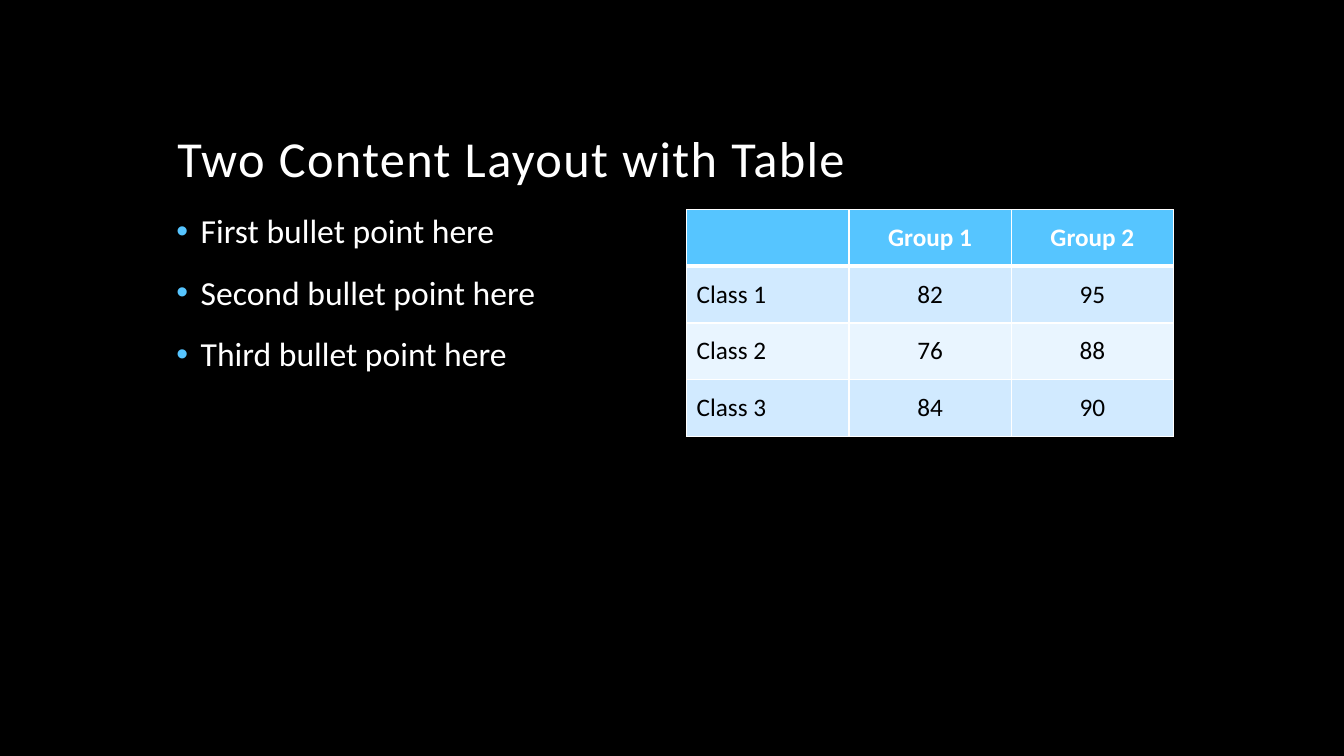
from lxml.etree import SubElement
from pptx import Presentation
from pptx.dml.color import RGBColor
from pptx.enum.text import MSO_ANCHOR, MSO_AUTO_SIZE, PP_ALIGN
from pptx.oxml.ns import qn
from pptx.util import Inches, Pt

FONT = "Calibri"
COLORS = {
    "background": "000000",
    "light": "FFFFFF",
    "dark": "000000",
    "accent": "56C5FF",
    "odd_row": "D1EAFF",
    "even_row": "E9F5FF",
}
BULLETS = ["First bullet point here", "Second bullet point here", "Third bullet point here"]
SCORES = [
    ["", "Group 1", "Group 2"],
    ["Class 1", "82", "95"],
    ["Class 2", "76", "88"],
    ["Class 3", "84", "90"],
]


def color(name):
    return RGBColor.from_string(COLORS[name])


def style_font(font, size, color_name, bold=False):
    font.name = FONT
    font.size = Pt(size)
    font.bold = bold
    font.color.rgb = color(color_name)


def place(shape, left, top, width, height):
    shape.left, shape.top = Inches(left), Inches(top)
    shape.width, shape.height = Inches(width), Inches(height)


def add_solid_fill(parent, color_name):
    fill = SubElement(parent, qn("a:solidFill"))
    SubElement(fill, qn("a:srgbClr"), val=COLORS[color_name])


def fill_title(title, text):
    place(title, 1.66, 0.42, 10, 1.5)
    frame = title.text_frame
    frame.auto_size = MSO_AUTO_SIZE.NONE
    frame.vertical_anchor = MSO_ANCHOR.BOTTOM
    para = frame.paragraphs[0]
    para.alignment = PP_ALIGN.LEFT
    para.line_spacing = 0.9
    span = para.add_run()
    span.text = text
    style_font(span.font, 36, "light")
    span._r.get_or_add_rPr().set("spc", "100")


def add_bullet(para):
    props = para._p.get_or_add_pPr()
    props.set("marL", str(Inches(0.24)))
    props.set("indent", str(Inches(-0.24)))
    bullet_color = SubElement(props, qn("a:buClr"))
    SubElement(bullet_color, qn("a:srgbClr"), val=COLORS["accent"])
    SubElement(props, qn("a:buFont"), typeface="Arial")
    SubElement(props, qn("a:buChar"), char="•")


def fill_bullets(body, lines):
    place(body, 1.65, 2.08, 4.83, 4.5)
    frame = body.text_frame
    frame.auto_size = MSO_AUTO_SIZE.NONE
    frame.text = "\n".join(lines)
    for para in frame.paragraphs:
        para.line_spacing = 0.9
        para.space_before = Pt(18)
        add_bullet(para)
        style_font(para.font, 24, "light")


def set_borders(cell, top, bottom):
    props = cell._tc.get_or_add_tcPr()
    for side, width in (("L", 1), ("R", 1), ("T", top), ("B", bottom)):
        line = SubElement(props, qn(f"a:ln{side}"), w=str(Pt(width)))
        add_solid_fill(line, "light")


def add_score_table(page, rows):
    frame = page.shapes.add_table(
        len(rows), len(rows[0]), Inches(6.81), Inches(2.08), Inches(4.83), Inches(2.25))
    for r, row in enumerate(rows):
        header = r == 0
        fill_name = "accent" if header else "odd_row" if r % 2 else "even_row"
        for c, text in enumerate(row):
            cell = frame.table.cell(r, c)
            # The rule under the header is shared by the first two rows
            set_borders(cell, top=3 if r == 1 else 1, bottom=3 if header else 1)
            cell.fill.solid()
            cell.fill.fore_color.rgb = color(fill_name)
            cell.vertical_anchor = MSO_ANCHOR.MIDDLE
            cell.text = text
            para = cell.text_frame.paragraphs[0]
            para.alignment = PP_ALIGN.CENTER if c else PP_ALIGN.LEFT
            style_font(para.font, 18, "light" if header else "dark", bold=header)


def main():
    deck = Presentation()
    deck.slide_width, deck.slide_height = Inches(13.33), Inches(7.5)
    page = deck.slides.add_slide(deck.slide_layouts[1])
    page.background.fill.solid()
    page.background.fill.fore_color.rgb = color("background")

    # Title and list on the left, table on the right
    fill_title(page.shapes.title, "Two Content Layout with Table")
    fill_bullets(page.placeholders[1], BULLETS)
    add_score_table(page, SCORES)
    deck.save("out.pptx")


if __name__ == "__main__":
    main()
